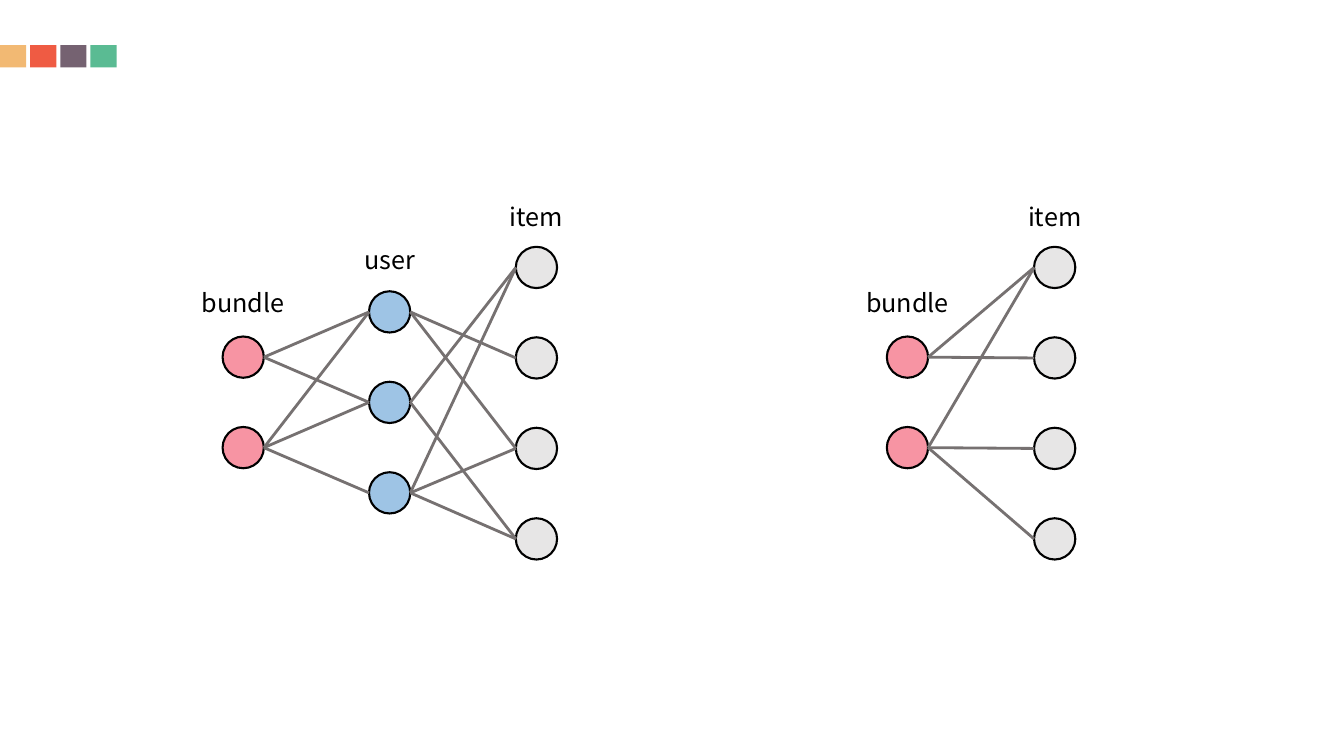
from dataclasses import dataclass

from lxml import etree
from pptx import Presentation
from pptx.dml.color import RGBColor
from pptx.enum.shapes import MSO_CONNECTOR, MSO_SHAPE
from pptx.enum.text import MSO_ANCHOR, MSO_AUTO_SIZE, PP_ALIGN
from pptx.oxml.ns import qn
from pptx.util import Cm, Pt

RECT, OVAL = MSO_SHAPE.RECTANGLE, MSO_SHAPE.OVAL
STRAIGHT = MSO_CONNECTOR.STRAIGHT
CENTER, TOP = PP_ALIGN.CENTER, MSO_ANCHOR.TOP
GROW = MSO_AUTO_SIZE.SHAPE_TO_FIT_TEXT


@dataclass(frozen=True)
class Theme:
    font: str = "Noto Sans CJK SC"
    label_size: int = 18
    text: str = "000000"
    outline: str = "000000"
    outline_width: float = 1.5
    edge: str = "767171"
    edge_width: float = 2
    bundle: str = "F794A3"
    user: str = "9EC4E5"
    item: str = "E7E6E6"
    accents: tuple = ("F2B973", "EF5B43", "756271", "5ABB93")


@dataclass(frozen=True)
class Layer:
    """A column of equal nodes under one label; lengths in centimetres."""
    name: str
    color: str
    left: float
    top: float
    label_top: float
    count: int


THEME = Theme()
NODE_SIZE, NODE_PITCH = 1.04, 2.28
LABEL_WIDTH, LABEL_HEIGHT = 2.67, 1.02
SQUARE_WIDTH, SQUARE_HEIGHT, SQUARE_TOP, SQUARE_PITCH = 0.66, 0.56, 1.14, 0.76


def rgb(color):
    return RGBColor.from_string(color)


def bundle_layer(left):
    return Layer("bundle", THEME.bundle, left, 8.48, 7.11, 2)


def user_layer(left):
    return Layer("user", THEME.user, left, 7.34, 6.02, 3)


def item_layer(left):
    return Layer("item", THEME.item, left, 6.22, 4.95, 4)


def add_filled(shapes, kind, left, top, width, height, color):
    sp = shapes.add_shape(kind, Cm(left), Cm(top), Cm(width), Cm(height))
    sp.shadow.inherit = False
    sp.fill.solid()
    sp.fill.fore_color.rgb = rgb(color)
    sp.line.fill.background()
    return sp


def add_accent_squares(s):
    group = s.shapes.add_group_shape()
    for i, color in enumerate(THEME.accents):
        add_filled(group.shapes, RECT, i * SQUARE_PITCH, SQUARE_TOP,
                   SQUARE_WIDTH, SQUARE_HEIGHT, color)


def add_nodes(shapes, layer):
    nodes = []
    for i in range(layer.count):
        node = add_filled(shapes, OVAL, layer.left, layer.top + i * NODE_PITCH,
                          NODE_SIZE, NODE_SIZE, layer.color)
        node.line.color.rgb = rgb(THEME.outline)
        node.line.width = Pt(THEME.outline_width)
        nodes.append(node)
    return nodes


def add_edge(shapes, start, end):
    """Draw a line from the right of one node to the left of another."""
    line = shapes.add_connector(
        STRAIGHT,
        start.left + start.width, start.top + start.height // 2,
        end.left, end.top + end.height // 2)
    line.line.color.rgb = rgb(THEME.edge)
    line.line.width = Pt(THEME.edge_width)
    etree.SubElement(line._element.spPr, qn("a:effectLst"))


def add_label(shapes, layer):
    left = layer.left + (NODE_SIZE - LABEL_WIDTH) / 2
    sp = shapes.add_textbox(Cm(left), Cm(layer.label_top),
                            Cm(LABEL_WIDTH), Cm(LABEL_HEIGHT))
    tf = sp.text_frame
    tf.word_wrap = False
    tf.auto_size = GROW
    tf.vertical_anchor = TOP
    p = tf.paragraphs[0]
    p.alignment = CENTER
    r = p.add_run()
    r.text = layer.name
    r.font.name = THEME.font
    r.font.size = Pt(THEME.label_size)
    r.font.color.rgb = rgb(THEME.text)


def add_graph(s, layers, links):
    """Draw layers left to right; links[i] joins layer i to layer i + 1."""
    shapes = s.shapes.add_group_shape().shapes
    columns = [add_nodes(shapes, layer) for layer in layers]
    for starts, ends, pairs in zip(columns, columns[1:], links):
        for start, end in pairs:
            add_edge(shapes, starts[start], ends[end])
    for layer in layers:
        add_label(shapes, layer)


def main():
    prs = Presentation()
    prs.slide_width, prs.slide_height = Cm(33.87), Cm(19.05)
    s = prs.slides.add_slide(prs.slide_layouts[6])

    add_accent_squares(s)
    add_graph(s, [bundle_layer(22.35), item_layer(26.06)],
              [[(0, 0), (0, 1), (1, 0), (1, 2), (1, 3)]])
    add_graph(s, [bundle_layer(5.61), user_layer(9.3), item_layer(13)],
              [[(0, 0), (0, 1), (1, 0), (1, 1), (1, 2)],
               [(0, 1), (0, 2), (1, 0), (1, 3), (2, 0), (2, 2), (2, 3)]])

    prs.save("out.pptx")


if __name__ == "__main__":
    main()
